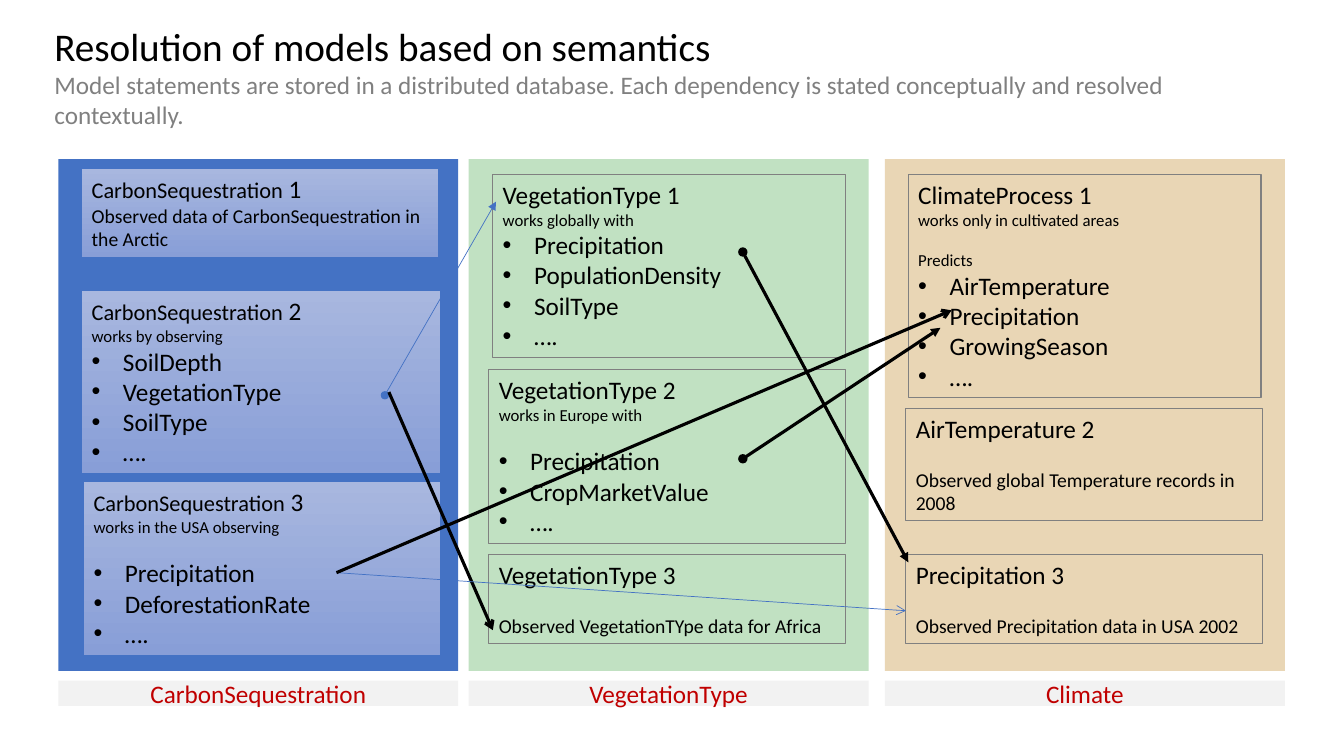
from dataclasses import dataclass

from lxml import etree
from pptx import Presentation
from pptx.dml.color import RGBColor
from pptx.enum import shapes, text
from pptx.oxml import ns
from pptx.util import Cm, Pt

BLACK = RGBColor(0x00, 0x00, 0x00)
GREY = RGBColor(0x80, 0x80, 0x80)
PALE_GREY = RGBColor(0xF2, 0xF2, 0xF2)
RED = RGBColor(0xC0, 0x00, 0x00)
BLUE = RGBColor(0x44, 0x72, 0xC4)
GREEN = RGBColor(0xC1, 0xE1, 0xC2)
SAND = RGBColor(0xE9, 0xD6, 0xB5)
CARD_TOP = RGBColor(0xA8, 0xB7, 0xDF)
CARD_BOTTOM = RGBColor(0x88, 0x9E, 0xD7)

FONT = "Calibri"
LINE_HEIGHT = 1.22
COLUMN_TOP, COLUMN_WIDTH, COLUMN_HEIGHT = 4.01, 10.08, 12.9
LABEL_TOP, LABEL_HEIGHT = 17.15, 0.64
BULLET_INDENT = 0.79


@dataclass(frozen=True)
class Line:
    words: str
    size: float = 18
    bullet: bool = False
    gap: float = 0
    number: str = ""
    color: RGBColor = BLACK


@dataclass(frozen=True)
class Model:
    left: float
    top: float
    width: float
    height: float
    lines: tuple[Line, ...]


@dataclass(frozen=True)
class Concept:
    name: str
    left: float
    color: RGBColor
    shaded: bool
    models: tuple[Model, ...]


@dataclass(frozen=True)
class Dependency:
    start: tuple[float, float]
    end: tuple[float, float]
    color: RGBColor
    weight: float
    head: str
    tail: str


def items(*words: str, gap: float = 0) -> tuple[Line, ...]:
    return tuple(Line(word, bullet=True, gap=0 if i else gap)
                 for i, word in enumerate((*words, "….")))


CONCEPTS = (
    Concept("CarbonSequestration", 1.47, BLUE, True, (
        Model(2.06, 7.32, 9.04, 4.62, (
            Line("CarbonSequestration", 16, number=" 2"),
            Line("works by observing", 12),
            *items("SoilDepth", "VegetationType", "SoilType"))),
        Model(2.11, 12.14, 8.99, 4.37, (
            Line("CarbonSequestration", 16, number=" 3"),
            Line("works in the USA observing", 12),
            *items("Precipitation", "DeforestationRate", gap=12))),
        Model(2.06, 4.24, 8.99, 2.24, (
            Line("CarbonSequestration", 16, number=" 1"),
            Line("Observed data of CarbonSequestration in the Arctic", 14))),
    )),
    Concept("VegetationType", 11.81, GREEN, False, (
        Model(12.42, 4.39, 8.89, 4.62, (
            Line("VegetationType 1"),
            Line("works globally with", 12),
            *items("Precipitation", "PopulationDensity", "SoilType"))),
        Model(12.32, 9.32, 8.99, 4.37, (
            Line("VegetationType 2"),
            Line("works in Europe with", 12),
            *items("Precipitation", "CropMarketValue", gap=12))),
        Model(12.32, 13.97, 8.99, 2.24, (
            Line("VegetationType 3"),
            Line("Observed VegetationTYpe data for Africa", 14, gap=14))),
    )),
    Concept("Climate", 22.3, SAND, False, (
        Model(22.89, 4.39, 8.89, 5.64, (
            Line("ClimateProcess 1"),
            Line("works only in cultivated areas", 12),
            Line("Predicts", 12, gap=12),
            *items("AirTemperature", "Precipitation", "GrowingSeason"))),
        Model(22.83, 13.97, 8.99, 2.24, (
            Line("Precipitation 3"),
            Line("Observed Precipitation data in USA 2002", 14, gap=14))),
        Model(22.83, 10.29, 8.99, 2.82, (
            Line("AirTemperature 2"),
            Line("Observed global Temperature records in 2008", 14, gap=14))),
    )),
)

DEPENDENCIES = (
    Dependency((9.7, 9.96), (12.5, 5.08), BLUE, 0.5, "oval", "triangle"),
    Dependency((9.8, 9.88), (12.42, 15.88), BLACK, 2.25, "none", "arrow"),
    Dependency((8.48, 14.43), (22.83, 15.39), BLUE, 0.5, "none", "arrow"),
    Dependency((18.72, 6.35), (22.89, 14.17), BLACK, 2.25, "oval", "triangle"),
    Dependency((18.72, 11.56), (23.7, 8.26), BLACK, 2.25, "oval", "triangle"),
    Dependency((8.48, 14.43), (23.98, 7.82), BLACK, 2.25, "none", "arrow"),
)

HEADING = Model(1.12, 0.43, 31.27, 3, (
    Line("Resolution of models based on semantics", 28),
    Line("Model statements are stored in a distributed database. Each dependency "
         "is stated conceptually and resolved contextually.", color=GREY),
))


def add_run(paragraph, words: str, size: float, color: RGBColor) -> None:
    run = paragraph.add_run()
    run.text = words
    run.font.name = FONT
    run.font.size = Pt(size)
    run.font.color.rgb = color


def add_bullet(paragraph) -> None:
    properties = paragraph._p.get_or_add_pPr()
    properties.set("marL", str(Cm(BULLET_INDENT)))
    properties.set("indent", str(-Cm(BULLET_INDENT)))
    etree.SubElement(properties, ns.qn("a:buFont"), typeface="Arial")
    etree.SubElement(properties, ns.qn("a:buChar"), char="•")


def add_model(slide, model: Model):
    box = slide.shapes.add_textbox(
        Cm(model.left), Cm(model.top), Cm(model.width), Cm(model.height))
    frame = box.text_frame
    frame.word_wrap = True
    frame.auto_size = text.MSO_AUTO_SIZE.SHAPE_TO_FIT_TEXT
    for i, line in enumerate(model.lines):
        paragraph = frame.add_paragraph() if i else frame.paragraphs[0]
        if line.bullet:
            add_bullet(paragraph)
        if line.gap:
            paragraph.space_before = Pt(line.gap * LINE_HEIGHT)
        add_run(paragraph, line.words, line.size, line.color)
        if line.number:
            add_run(paragraph, line.number, 18, line.color)
    return box


def style_model(box, shaded: bool) -> None:
    box.line.color.rgb = BLUE if shaded else GREY
    box.line.width = Pt(0.5 if shaded else 0.75)
    if shaded:
        box.fill.gradient()
        box.fill.gradient_angle = 270
        for stop, color in zip(box.fill.gradient_stops, (CARD_TOP, CARD_BOTTOM)):
            stop.color.rgb = color


def add_panel(slide, left: float, top: float, height: float, color: RGBColor):
    panel = slide.shapes.add_shape(
        shapes.MSO_SHAPE.RECTANGLE, Cm(left), Cm(top), Cm(COLUMN_WIDTH), Cm(height))
    panel.shadow.inherit = False
    panel.fill.solid()
    panel.fill.fore_color.rgb = color
    panel.line.fill.background()
    return panel


def add_concept(slide, concept: Concept) -> None:
    add_panel(slide, concept.left, COLUMN_TOP, COLUMN_HEIGHT, concept.color)
    label = add_panel(slide, concept.left, LABEL_TOP, LABEL_HEIGHT, PALE_GREY)
    label.text_frame.vertical_anchor = text.MSO_ANCHOR.MIDDLE
    paragraph = label.text_frame.paragraphs[0]
    paragraph.alignment = text.PP_ALIGN.CENTER
    add_run(paragraph, concept.name, 18, RED)
    for model in concept.models:
        style_model(add_model(slide, model), concept.shaded)


def add_dependency(slide, dependency: Dependency) -> None:
    arrow = slide.shapes.add_connector(
        shapes.MSO_CONNECTOR.STRAIGHT,
        *map(Cm, dependency.start), *map(Cm, dependency.end))
    arrow.line.color.rgb = dependency.color
    arrow.line.width = Pt(dependency.weight)
    outline = arrow.line._get_or_add_ln()
    etree.SubElement(outline, ns.qn("a:headEnd"), type=dependency.head)
    etree.SubElement(outline, ns.qn("a:tailEnd"), type=dependency.tail)
    etree.SubElement(arrow._element.spPr, ns.qn("a:effectLst"))


def main() -> None:
    deck = Presentation()
    deck.slide_width, deck.slide_height = Cm(33.87), Cm(19.05)
    slide = deck.slides.add_slide(deck.slide_layouts[6])
    add_model(slide, HEADING)
    for concept in CONCEPTS:
        add_concept(slide, concept)
    for dependency in DEPENDENCIES:
        add_dependency(slide, dependency)
    deck.save("out.pptx")


if __name__ == "__main__":
    main()
